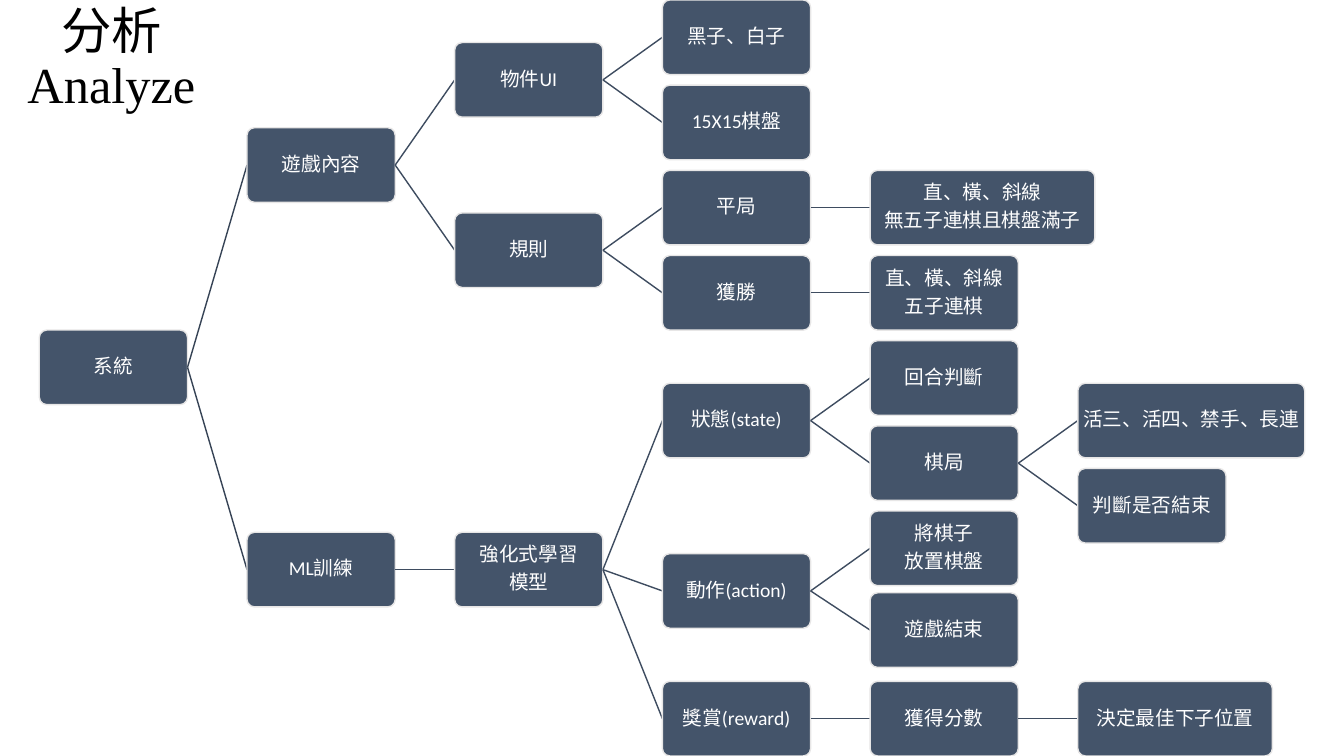
from pptx import Presentation
from pptx.dml.color import RGBColor
from pptx.enum import shapes, text
from pptx.oxml.ns import qn
from pptx.util import Inches, Pt
from lxml import etree

BOX_WIDTH, BOX_HEIGHT = 1.47, 0.74
LEFT, COLUMN_STEP = 0.39, 2.06
FIRST_CENTER, ROW_STEP = 0.37, 0.4225

# Preorder tree: depth, row in half-box steps, wording, width
TREE = [
    (0, 7.75, "系統", BOX_WIDTH),
    (1, 3, "遊戲內容", BOX_WIDTH),
    (2, 1, "物件UI", BOX_WIDTH),
    (3, 0, "黑子、白子", BOX_WIDTH),
    (3, 2, "15X15棋盤", BOX_WIDTH),
    (2, 5, "規則", BOX_WIDTH),
    (3, 4, "平局", BOX_WIDTH),
    (4, 4, "直、橫、斜線\n無五子連棋且棋盤滿子", 2.23),
    (3, 6, "獲勝", BOX_WIDTH),
    (4, 6, "直、橫、斜線\n五子連棋", BOX_WIDTH),
    (1, 12.5, "ML訓練", BOX_WIDTH),
    (2, 12.5, "強化式學習\n模型", BOX_WIDTH),
    (3, 9, "狀態(state)", BOX_WIDTH),
    (4, 8, "回合判斷", BOX_WIDTH),
    (4, 10, "棋局", BOX_WIDTH),
    (5, 9, "活三、活四、禁手、長連", 2.25),
    (5, 11, "判斷是否結束", BOX_WIDTH),
    (3, 13, "動作(action)", BOX_WIDTH),
    (4, 12, "將棋子\n放置棋盤", BOX_WIDTH),
    (4, 13.92, "遊戲結束", BOX_WIDTH),
    (3, 16, "獎賞(reward)", BOX_WIDTH),
    (4, 16, "獲得分數", BOX_WIDTH),
    (5, 16, "決定最佳下子位置", 1.93),
]


def color(value):
    """Turn a hex string into an RGB colour."""
    return RGBColor.from_string(value)


def write(frame, wording, size, font, ink, **margins):
    """Put centred, formatted wording into a text frame."""
    frame.text = wording
    frame_format = {"word_wrap": True, "vertical_anchor": text.MSO_ANCHOR.MIDDLE, **margins}
    for name, value in frame_format.items():
        setattr(frame, name, value)
    for paragraph in frame.paragraphs:
        paragraph.alignment = text.PP_ALIGN.CENTER
        paragraph.line_spacing = 0.9
        for run in paragraph.runs:
            for name, value in {"size": Pt(size), "name": font}.items():
                setattr(run.font, name, value)
            run.font.color.rgb = color(ink)


prs = Presentation()
prs.slide_width, prs.slide_height = Inches(13.33), Inches(7.5)
slide = prs.slides.add_slide(prs.slide_layouts[6])

branch = {}  # latest box at each depth: right edge and vertical centre
for depth, row, wording, width in TREE:
    left = LEFT + depth * COLUMN_STEP
    center = FIRST_CENTER + row * ROW_STEP

    if depth:
        parent_right, parent_center = branch[depth - 1]
        link = slide.shapes.add_connector(
            shapes.MSO_CONNECTOR.STRAIGHT,
            Inches(parent_right), Inches(parent_center), Inches(left), Inches(center))
        link.line.color.rgb = color("364355" if depth == 1 else "3E4C60")
        link.line.width = Pt(1)
        etree.SubElement(link._element.spPr, qn("a:effectLst"))

    box = slide.shapes.add_shape(
        shapes.MSO_SHAPE.ROUNDED_RECTANGLE, Inches(left),
        Inches(center - BOX_HEIGHT / 2), Inches(width), Inches(BOX_HEIGHT))
    box.adjustments[0] = 0.1
    box.shadow.inherit = False
    box.fill.solid()
    box.fill.fore_color.rgb = color("44546A")
    box.line.color.rgb = color("E7E6E6")
    box.line.width = Pt(1)
    inset = Inches(0.03)
    write(box.text_frame, wording, 14, "Calibri", "FFFFFF",
          margin_left=inset, margin_right=inset, margin_top=inset, margin_bottom=inset)
    for paragraph in box.text_frame.paragraphs:
        paragraph.space_after = Pt(4.9)

    branch[depth] = (left + width, center)

title = slide.shapes.add_textbox(0, 0, Inches(2.21), Inches(1.19))
write(title.text_frame, "分析\vAnalyze", 36, "Times New Roman", "000000")

prs.save("out.pptx")
